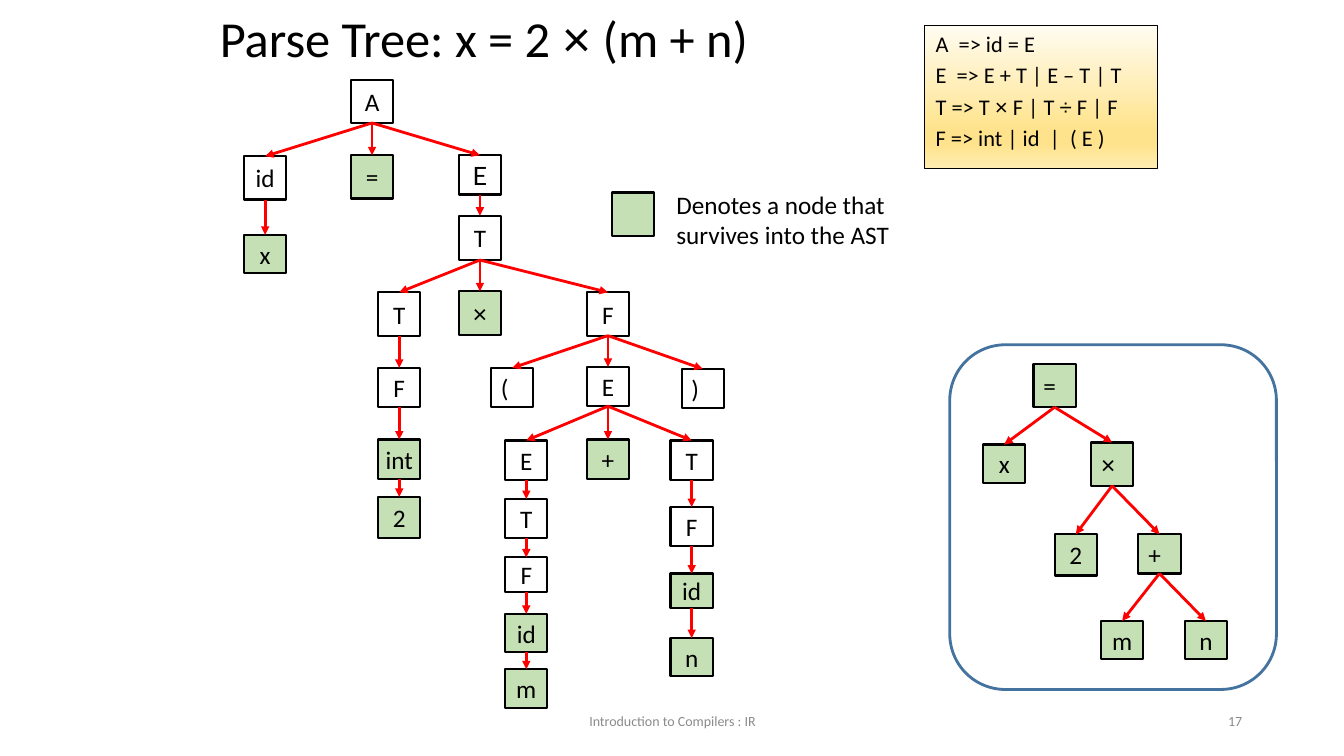
from copy import deepcopy
from itertools import groupby

from lxml import etree
from pptx import Presentation
from pptx import util as u
from pptx.dml.color import RGBColor
from pptx.enum import shapes, text
from pptx.oxml.ns import qn

BLACK = RGBColor(0x00, 0x00, 0x00)
GRAY = RGBColor(0x8B, 0x8B, 0x8B)
RED = RGBColor(0xFF, 0x00, 0x00)
GREEN = RGBColor(0xC5, 0xE0, 0xB4)
BLUE = RGBColor(0x43, 0x73, 0x9E)
GOLD_STOPS = [
    (0, RGBColor(0xFF, 0xFC, 0xF2)),
    (0.74, RGBColor(0xFF, 0xE3, 0x8C)),
    (0.83, RGBColor(0xFF, 0xE3, 0x8C)),
    (1, RGBColor(0xFF, 0xEC, 0xB2)),
]

TITLE = "Parse Tree: x = 2 × (m + n)"
GRAMMAR = [
    "A  => id = E",
    "E  => E + T | E – T | T",
    "T => T × F | T ÷ F | F",
    "F => int | id  |  ( E )",
]
LEGEND = "Denotes a node that survives into the AST"
FOOTER = "Introduction to Compilers : IR"
PAGE = "17"

NODE_W = 0.42
COLUMNS = {
    "target": 2.63, "root": 3.69, "value": 4.76,
    "two": 3.96, "group": 6.03, "open": 5.08, "close": 6.97,
    "m": 5.22, "n": 6.86,
    "ast =": 10.46, "ast x": 9.96, "ast ×": 11.03,
    "ast 2": 10.67, "ast +": 11.5, "ast m": 11.13, "ast n": 11.96,
}

# label, column, top, height, traits, children
M_BRANCH = ("E", "m", 4.37, 0.39, "", [
    ("T", "m", 4.95, 0.39, "", [
        ("F", "m", 5.53, 0.34, "", [
            ("id", "m", 6.09, 0.38, "kept", [
                ("m", "m", 6.64, 0.38, "kept", [])])])])])
N_BRANCH = ("T", "n", 4.37, 0.39, "", [
    ("F", "n", 5.03, 0.39, "", [
        ("id", "n", 5.69, 0.34, "kept", [
            ("n", "n", 6.33, 0.38, "kept", [])])])])
TWO_BRANCH = ("T", "two", 2.9, 0.43, "", [
    ("F", "two", 3.65, 0.39, "", [
        ("int", "two", 4.36, 0.39, "kept", [
            ("2", "two", 4.93, 0.41, "kept", [])])])])
GROUP_BRANCH = ("F", "group", 2.9, 0.43, "", [
    ("(", "open", 3.65, 0.39, "left", []),
    ("E", "group", 3.64, 0.39, "", [
        M_BRANCH,
        ("+", "group", 4.36, 0.39, "kept", []),
        N_BRANCH]),
    (")", "close", 3.66, 0.39, "left", [])])
PARSE_TREE = ("A", "root", 0.79, 0.43, "", [
    ("id", "target", 1.55, 0.43, "", [
        ("x", "target", 2.33, 0.38, "kept", [])]),
    ("=", "root", 1.54, 0.43, "kept", []),
    ("E", "value", 1.54, 0.39, "lato", [
        ("T", "value", 2.14, 0.44, "", [
            TWO_BRANCH,
            ("×", "value", 2.89, 0.43, "kept", []),
            GROUP_BRANCH])])])
AST = ("=", "ast =", 3.61, 0.43, "kept left", [
    ("x", "ast x", 4.41, 0.38, "kept", []),
    ("×", "ast ×", 4.39, 0.43, "kept left", [
        ("2", "ast 2", 5.3, 0.41, "kept", []),
        ("+", "ast +", 5.3, 0.39, "kept left", [
            ("m", "ast m", 6.16, 0.38, "kept", []),
            ("n", "ast n", 6.16, 0.38, "kept", [])])])])


def write(holder, lines, size=18, font="Calibri", color=BLACK,
          align=text.PP_ALIGN.LEFT, anchor=text.MSO_ANCHOR.MIDDLE,
          wrap=True, spacing=None, before=None):
    frame = holder.text_frame
    frame.auto_size = text.MSO_AUTO_SIZE.NONE
    frame.word_wrap = wrap
    frame.vertical_anchor = anchor
    for i, line in enumerate(lines):
        paragraph = frame.add_paragraph() if i else frame.paragraphs[0]
        paragraph.alignment = align
        if spacing:
            paragraph.line_spacing = spacing
        if before:
            paragraph.space_before = u.Pt(before)
        for is_operator, letters in groupby(line, lambda c: c in "×÷"):
            run = paragraph.add_run()
            run.text = "".join(letters)
            run.font.name = "Arial" if is_operator else font
            run.font.size = u.Pt(size)
            run.font.color.rgb = color
    return frame


def place(holder, *box):
    holder.left, holder.top, holder.width, holder.height = map(u.Inches, box)


def add_box(box, fill=None, line=BLACK, weight=1.5,
            kind=shapes.MSO_SHAPE.RECTANGLE):
    outline = slide.shapes.add_shape(kind, *map(u.Inches, box))
    outline.shadow.inherit = False
    if fill is None:
        outline.fill.background()
    else:
        outline.fill.solid()
        outline.fill.fore_color.rgb = fill
    outline.line.color.rgb = line
    outline.line.width = u.Pt(weight)
    return outline


def add_caption(box, caption, **style):
    write(slide.shapes.add_textbox(*map(u.Inches, box)), [caption], **style)


def add_edge(parent, child):
    edge = slide.shapes.add_connector(shapes.MSO_CONNECTOR.STRAIGHT, 0, 0, 0, 0)
    edge.begin_connect(parent, 2)
    edge.end_connect(child, 0)
    edge.line.color.rgb = RED
    edge.line.width = u.Pt(2)
    etree.SubElement(edge.line._get_or_add_ln(), qn("a:tailEnd"), type="triangle")
    etree.SubElement(edge._element.spPr, qn("a:effectLst"))


def grow(branch):
    label, column, top, height, traits, children = branch
    node = add_box((COLUMNS[column] - NODE_W / 2, top, NODE_W, height),
                   fill=GREEN if "kept" in traits else None)
    write(node, [label], wrap=False,
          font="Lato" if "lato" in traits else "Calibri",
          align=text.PP_ALIGN.LEFT if "left" in traits else text.PP_ALIGN.CENTER)
    for child in children:
        add_edge(node, grow(child))
    return node


def fill_grammar(rules):
    place(rules, 9.17, 0.25, 2.31, 1.42)
    rules.fill.gradient()
    rules.fill.gradient_angle = 270
    stops = rules._element.spPr.find(".//" + qn("a:gsLst"))
    stops.extend([deepcopy(stops[0]) for _ in GOLD_STOPS[len(stops):]])
    for stop, (position, color) in zip(rules.fill.gradient_stops, GOLD_STOPS):
        stop.position = position
        stop.color.rgb = color
    rules.line.color.rgb = BLACK
    rules.line.width = u.Pt(0.75)
    frame = write(rules, GRAMMAR, size=16, anchor=text.MSO_ANCHOR.TOP, before=3.2)
    for paragraph in frame.paragraphs:
        props = paragraph._p.get_or_add_pPr()
        props.set("marL", str(u.Inches(0.38)))
        props.set("indent", str(u.Inches(-0.37)))
        etree.SubElement(props, qn("a:buNone"))


deck = Presentation()
deck.slide_width, deck.slide_height = u.Inches(13.33), u.Inches(7.5)
slide = deck.slides.add_slide(deck.slide_layouts[1])

place(slide.shapes.title, 2.08, 0.03, 8.62, 0.75)
write(slide.shapes.title, [TITLE], size=36, spacing=0.9)
fill_grammar(slide.placeholders[1])

grow(PARSE_TREE)
add_box((6.07, 1.91, NODE_W, 0.43), fill=GREEN)
add_caption((6.61, 1.83, 2.67, 1), LEGEND, anchor=text.MSO_ANCHOR.TOP)

grow(AST)
ast_frame = add_box((9.42, 3.42, 3.24, 3.42), line=BLUE, weight=2,
                    kind=shapes.MSO_SHAPE.ROUNDED_RECTANGLE)
ast_frame.adjustments[0] = 0.17

add_caption((4.42, 6.95, 4.5, 0.4), FOOTER, size=10, color=GRAY,
            align=text.PP_ALIGN.CENTER)
add_caption((9.42, 6.95, 3, 0.4), PAGE, size=10, color=GRAY,
            align=text.PP_ALIGN.RIGHT)

deck.save("out.pptx")
